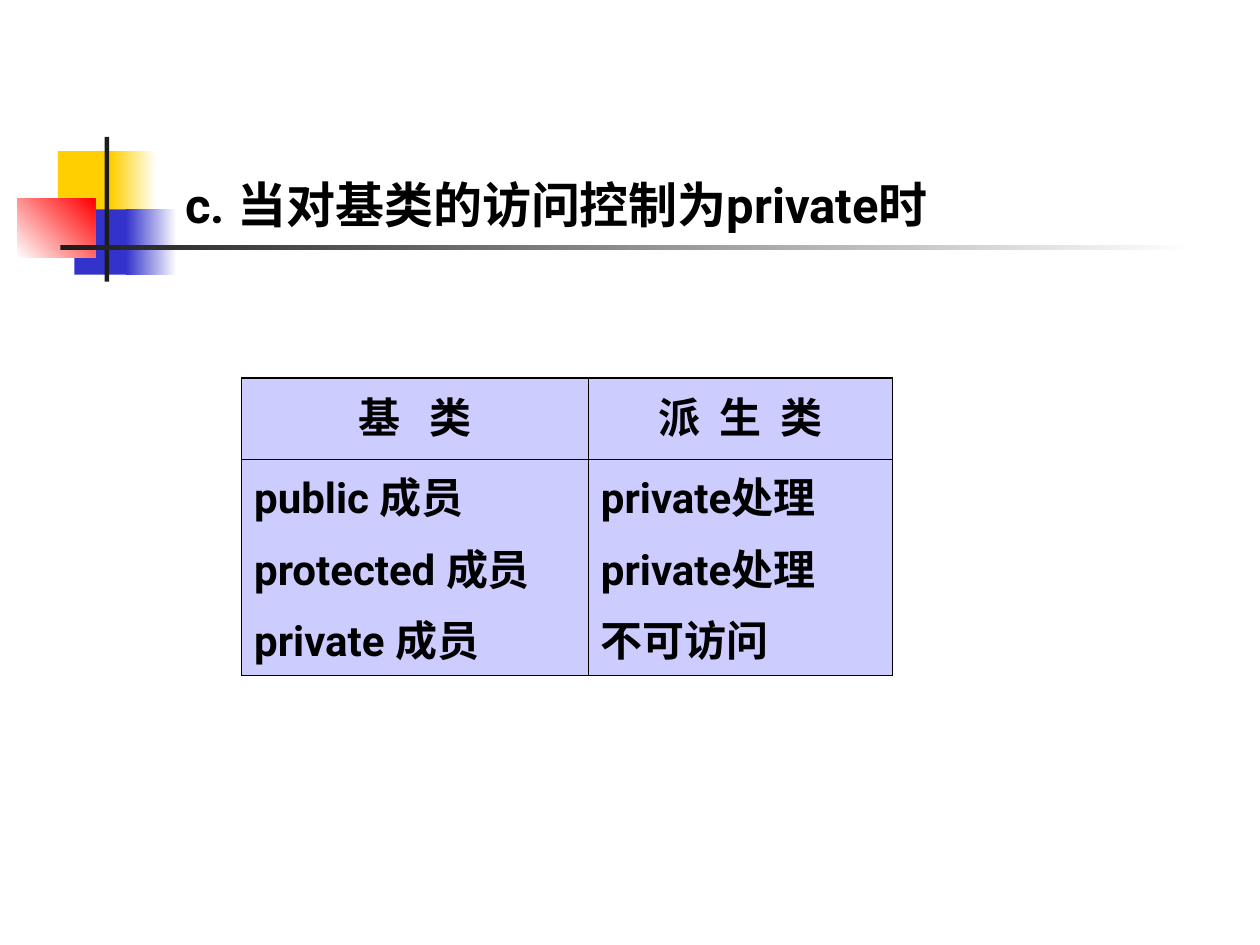
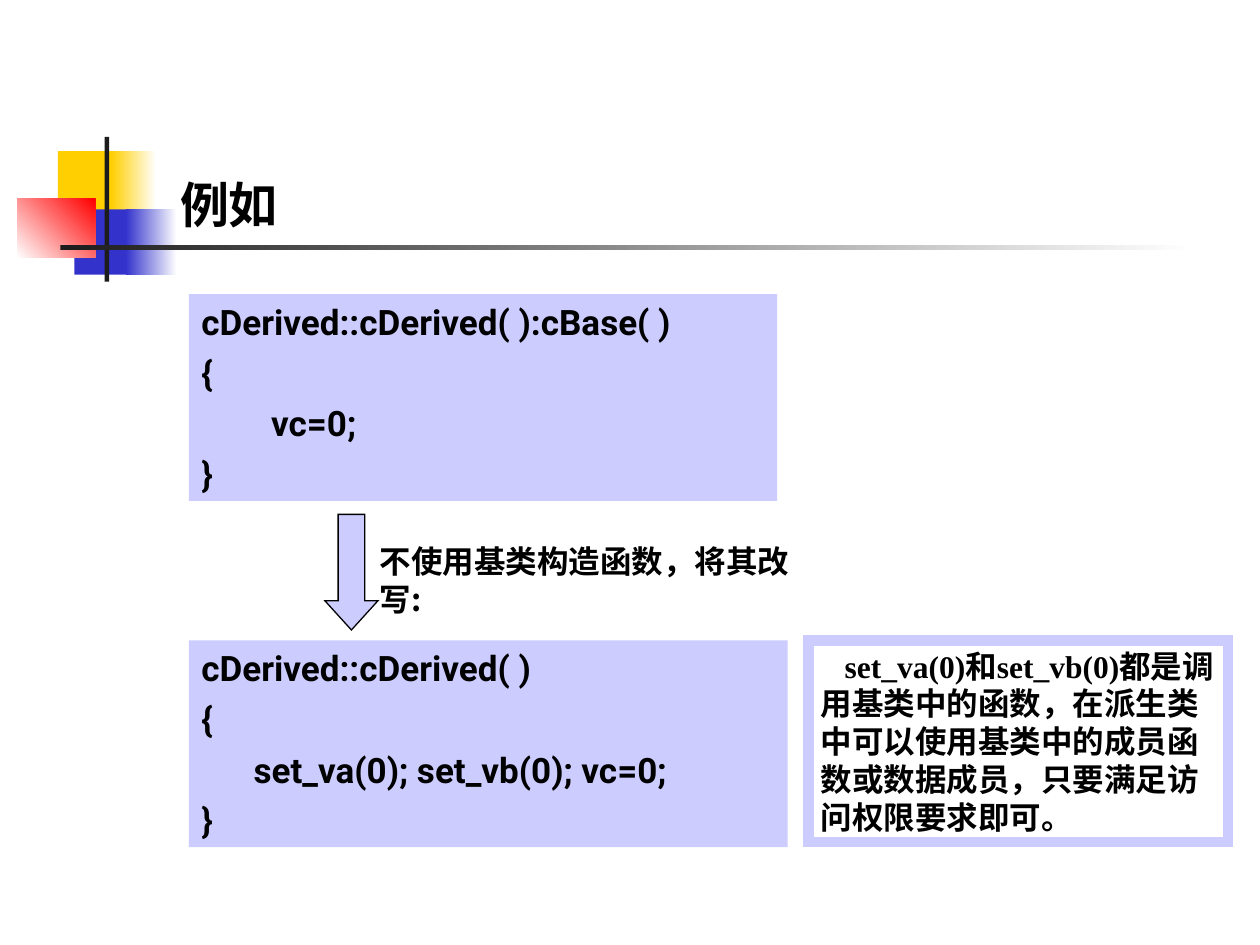
from dataclasses import dataclass
from typing import Optional

from lxml import etree
from pptx import Presentation
from pptx import util as u
from pptx.dml.color import RGBColor
from pptx.enum import shapes, text
from pptx.oxml import ns

# Shared style
COLORS = {
    "black": "000000", "white": "FFFFFF", "lilac": "CCCCFF", "yellow": "FFCF01",
    "blue": "3333CC", "red": "FF0000", "dark": "1C1C1C",
}
LATIN, CJK, SERIF = "Roboto", "Noto Sans CJK SC", "Times New Roman"
OUTER_LINE, INNER_LINE = 1.08, 0.45


@dataclass(frozen=True)
class Box:
    """Position and size in centimetres."""
    left: float
    top: float
    width: float
    height: float

    def emu(self) -> tuple:
        return tuple(u.Cm(v) for v in (self.left, self.top, self.width, self.height))


@dataclass(frozen=True)
class Block:
    """A rectangle of one colour, or a gradient between two."""
    box: Box
    color: str
    end: Optional[str] = None
    angle: float = 0


@dataclass(frozen=True)
class Style:
    size: float
    latin: str = LATIN
    before: float = 0
    line: Optional[float] = None
    indent: float = 0


TITLE = Style(28)
CODE = Style(20, before=5)
CELL = Style(24, before=6)
LABEL = Style(18, CJK, line=21.6)
NOTE = Style(18, SERIF, line=21.6, indent=0.48)

ORNAMENT = [
    Block(Box(1.17, 3.05, 1.22, 1.32), "yellow"),
    Block(Box(2.24, 3.05, 0.91, 1.32), "yellow", "white"),
    Block(Box(1.5, 4.22, 1.17, 1.32), "blue"),
    Block(Box(2.54, 4.22, 1.02, 1.32), "blue", "white"),
    Block(Box(0.35, 4.01, 1.57, 1.19), "white", "red", 45),
    Block(Box(2.11, 2.76, 0.09, 2.92), "dark"),
    Block(Box(1.22, 4.94, 22.86, 0.1), "dark", "white"),
]


def rgb(name: str) -> RGBColor:
    return RGBColor.from_string(COLORS[name])


def write(tf, lines: list[str], style: Style, align=text.PP_ALIGN.LEFT,
          tracking: float = 0) -> None:
    """Fill a text frame with one bold paragraph per line."""
    tf.word_wrap = True
    tf.text = "\n".join(lines)
    for i, p in enumerate(tf.paragraphs):
        p.alignment = align
        if i:
            p.space_before = u.Pt(style.before)
        if style.line:
            p.line_spacing = u.Pt(style.line)
        if style.indent:
            p._p.get_or_add_pPr().set("indent", str(u.Cm(style.indent)))
        for r in p.runs:
            r.font.size, r.font.bold = u.Pt(style.size), True
            r.font.color.rgb = rgb("black")
            r.font.name = style.latin
            rPr = r.font._element
            etree.SubElement(rPr, ns.qn("a:ea"), typeface=CJK)
            if tracking:
                rPr.set("spc", str(round(tracking * 100)))


def add_preset(s, kind, box: Box, fill: Optional[str] = None,
               line: Optional[str] = None, weight: float = 0.75):
    sp = s.shapes.add_shape(kind, *box.emu())
    sp.shadow.inherit = False
    if fill:
        sp.fill.solid()
        sp.fill.fore_color.rgb = rgb(fill)
    else:
        sp.fill.background()
    if line:
        sp.line.color.rgb = rgb(line)
        sp.line.width = u.Pt(weight)
        # Square corners
        etree.SubElement(sp.line._get_or_add_ln(), ns.qn("a:miter"), lim="800000")
    else:
        sp.line.fill.background()
    return sp


def add_block(s, block: Block) -> None:
    sp = add_preset(s, shapes.MSO_SHAPE.RECTANGLE, block.box, block.color)
    if block.end:
        sp.fill.gradient()
        sp.fill.gradient_angle = block.angle
        for stop, name in zip(sp.fill.gradient_stops, (block.color, block.end)):
            stop.color.rgb = rgb(name)


def add_text(s, box: Box, lines: list[str], style: Style):
    tf = s.shapes.add_textbox(*box.emu()).text_frame
    write(tf, lines, style)
    return tf


def add_panel(s, box: Box, lines: list[str], style: Style, **look) -> None:
    tf = add_preset(s, shapes.MSO_SHAPE.RECTANGLE, box, **look).text_frame
    tf.vertical_anchor = text.MSO_ANCHOR.TOP
    write(tf, lines, style)


def add_titled_slide(prs, title: str, box: Box):
    s = prs.slides.add_slide(prs.slide_layouts[6])
    for block in ORNAMENT:
        add_block(s, block)
    add_text(s, box, [title], TITLE)
    return s


def set_border(cell, side: str, weight: float) -> None:
    ln = etree.SubElement(cell._tc.get_or_add_tcPr(), ns.qn(f"a:ln{side}"),
                          w=str(u.Pt(weight)))
    fill = etree.SubElement(ln, ns.qn("a:solidFill"))
    etree.SubElement(fill, ns.qn("a:srgbClr"), val=COLORS["black"])


def add_access_table(s) -> None:
    widths, heights = (6.99, 6.13), (1.63, 4.37)
    headers = [("基 类", 5.8), ("派 生 类", 2.7)]
    bodies = [
        ["public 成员", "protected 成员", "private 成员"],
        ["private处理", "private处理", "不可访问"],
    ]
    box = Box(4.87, 7.62, sum(widths), sum(heights))
    table = s.shapes.add_table(2, 2, *box.emu()).table
    for row, height in zip(table.rows, heights):
        row.height = u.Cm(height)
    for col, width in enumerate(widths):
        table.columns[col].width = u.Cm(width)
        header, tracking = headers[col]
        write(table.cell(0, col).text_frame, [header], CELL,
              text.PP_ALIGN.CENTER, tracking)
        write(table.cell(1, col).text_frame, bodies[col], CELL)
        for row in range(2):
            cell = table.cell(row, col)
            outer = {"L": col == 0, "R": col == 1, "T": row == 0, "B": row == 1}
            for side, is_outer in outer.items():
                set_border(cell, side, OUTER_LINE if is_outer else INNER_LINE)
            cell.fill.solid()
            cell.fill.fore_color.rgb = rgb("lilac")


def build_access_slide(prs) -> None:
    s = add_titled_slide(prs, "c. 当对基类的访问控制为private时",
                         Box(3.49, 3.4, 18.5, 1.47))
    add_access_table(s)


def build_example_slide(prs) -> None:
    s = add_titled_slide(prs, "例如", Box(3.38, 3.4, 3.61, 1.7))

    # Constructor before and after the rewrite
    add_panel(s, Box(3.81, 5.93, 11.86, 4.17),
              ["cDerived::cDerived( ):cBase( )", "{", "        vc=0;", "}"],
              CODE, fill="lilac")
    add_panel(s, Box(3.81, 12.91, 12.07, 4.17),
              ["cDerived::cDerived( )", "{",
               "      set_va(0); set_vb(0); vc=0;", "}"],
              CODE, fill="lilac")

    # Arrow and its label
    arrow = add_preset(s, shapes.MSO_SHAPE.DOWN_ARROW, Box(6.55, 10.37, 1.07, 2.33),
                       "lilac", "black")
    arrow.adjustments[0], arrow.adjustments[1] = 0.5, 0.55
    label = add_text(s, Box(7.41, 10.8, 9.73, 1.02),
                     ["不使用基类构造函数，将其改写:"], LABEL)
    label.margin_right = u.Cm(0.8)

    # Framed note
    add_panel(s, Box(16.3, 12.91, 8.46, 4.07),
              ["set_va(0)和set_vb(0)都是调用基类中的函数，在派生类中可以使用"
               "基类中的成员函数或数据成员，只要满足访问权限要求即可。"],
              NOTE, line="lilac", weight=6)


def main() -> None:
    prs = Presentation()
    prs.slide_width, prs.slide_height = u.Cm(25.4), u.Cm(19.05)
    build_access_slide(prs)
    build_example_slide(prs)
    prs.save("out.pptx")


if __name__ == "__main__":
    main()
